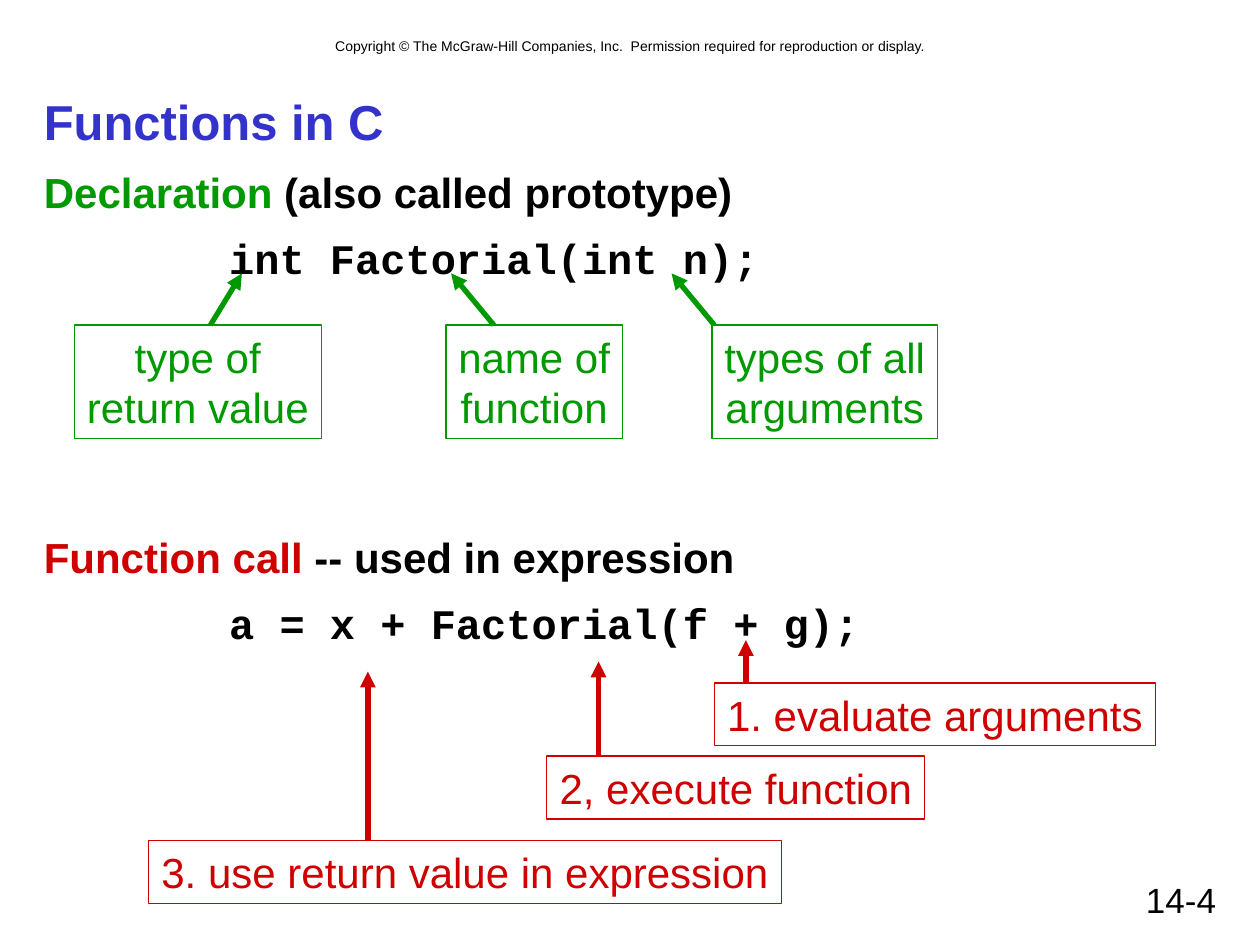
from dataclasses import dataclass

from lxml import etree
from pptx import Presentation
from pptx.dml.color import RGBColor
from pptx.enum.shapes import MSO_CONNECTOR, MSO_SHAPE
from pptx.enum.text import MSO_ANCHOR, PP_ALIGN
from pptx.oxml.ns import qn
from pptx.util import Inches, Pt

LEFT, CENTER, RIGHT = PP_ALIGN.LEFT, PP_ALIGN.CENTER, PP_ALIGN.RIGHT
TOP, MIDDLE = MSO_ANCHOR.TOP, MSO_ANCHOR.MIDDLE
STRAIGHT, RECTANGLE = MSO_CONNECTOR.STRAIGHT, MSO_SHAPE.RECTANGLE

BLACK, BLUE, GREEN, RED = "000000", "3333CC", "009900", "CE0000"
SANS, MONO = "Arial", "Courier New"
CODE_INDENT = 1.47


@dataclass
class Callout:
    """A boxed label with an arrow rising from its top edge to the code."""
    lines: tuple[str, ...]
    left: float
    top: float
    width: float
    height: float
    color: str
    arrow_start: float
    arrow_tip: tuple[float, float]


@dataclass
class Section:
    term: str
    remark: str
    code: str
    top: float
    color: str


CALLOUTS = [
    Callout(("type of", "return value"), 0.59, 2.58, 1.96, 0.9, GREEN, 1.67, (1.92, 2.17)),
    Callout(("name of", "function"), 3.54, 2.58, 1.4, 0.9, GREEN, 3.92, (3.58, 2.17)),
    Callout(("types of all", "arguments"), 5.65, 2.58, 1.79, 0.9, GREEN, 5.67, (5.33, 2.17)),
    Callout(("1. evaluate arguments",), 5.67, 5.42, 3.5, 0.5, RED, 5.92, (5.92, 5.08)),
    Callout(("2, execute function",), 4.34, 6, 3, 0.5, RED, 4.75, (4.75, 5.25)),
    Callout(("3. use return value in expression",), 1.18, 6.67, 5.02, 0.5, RED,
            2.92, (2.92, 5.33)),
]

SECTIONS = [
    Section("Declaration", " (also called prototype)", "int Factorial(int n);", 1.27, GREEN),
    Section("Function call", " -- used in expression", "a = x + Factorial(f + g);", 4.17, RED),
]


def rgb(color: str) -> RGBColor:
    return RGBColor.from_string(color)


def add_run(paragraph, text: str, size: float, color: str, name=SANS, bold=False) -> None:
    run = paragraph.add_run()
    run.text = text
    font_format = {"size": Pt(size), "name": name, "bold": bold}
    for attribute, value in font_format.items():
        setattr(run.font, attribute, value)
    run.font.color.rgb = rgb(color)


def add_text_box(slide, left: float, top: float, width: float, height: float,
                 align=LEFT, anchor=TOP):
    """Add an empty wrapping text box and return its text frame."""
    shape = slide.shapes.add_textbox(Inches(left), Inches(top), Inches(width), Inches(height))
    frame = shape.text_frame
    frame.word_wrap = True
    frame.vertical_anchor = anchor
    frame.paragraphs[0].alignment = align
    return frame


def add_section(slide, section: Section) -> None:
    frame = add_text_box(slide, 0.25, section.top, 9.5, 1)
    heading = frame.paragraphs[0]
    add_run(heading, section.term, 24, section.color, bold=True)
    add_run(heading, section.remark, 24, BLACK, bold=True)
    code = frame.add_paragraph()
    code.space_before = Pt(9)
    properties = code._p.get_or_add_pPr()
    properties.set("marL", str(Inches(CODE_INDENT)))
    properties.set("indent", "0")
    add_run(code, section.code, 24, BLACK, MONO, bold=True)


def add_arrow(slide, start: tuple[float, float], tip: tuple[float, float], color: str) -> None:
    arrow = slide.shapes.add_connector(STRAIGHT, *map(Inches, start + tip))
    arrow.line.color.rgb = rgb(color)
    arrow.line.width = Pt(3)
    etree.SubElement(arrow.line._get_or_add_ln(), qn("a:tailEnd"), type="triangle")
    etree.SubElement(arrow._element.spPr, qn("a:effectLst"))


def add_callout(slide, callout: Callout) -> None:
    shape = slide.shapes.add_shape(
        RECTANGLE, Inches(callout.left), Inches(callout.top),
        Inches(callout.width), Inches(callout.height))
    shape.shadow.inherit = False
    shape.fill.background()
    shape.line.color.rgb = rgb(callout.color)
    shape.line.width = Pt(0.75)
    frame = shape.text_frame
    frame.word_wrap = False
    frame.vertical_anchor = TOP
    paragraph = frame.paragraphs[0]
    paragraph.alignment = CENTER
    for index, line in enumerate(callout.lines):
        if index:
            paragraph.add_line_break()
        add_run(paragraph, line, 24, callout.color)
    add_arrow(slide, (callout.arrow_start, callout.top), callout.arrow_tip, callout.color)


def main() -> None:
    presentation = Presentation()
    presentation.slide_width, presentation.slide_height = Inches(10), Inches(7.5)
    slide = presentation.slides.add_slide(presentation.slide_layouts[6])

    copyright_line = add_text_box(slide, 0.67, 0.25, 8.67, 0.24, CENTER)
    add_run(copyright_line.paragraphs[0],
            "Copyright © The McGraw-Hill Companies, Inc.  "
            "Permission required for reproduction or display.", 8, BLACK)
    page_number = add_text_box(slide, 7.17, 6.92, 2.58, 0.42, RIGHT)
    add_run(page_number.paragraphs[0], "14-4", 20, BLACK)
    title = add_text_box(slide, 0.25, 0.67, 9.5, 0.58, anchor=MIDDLE)
    add_run(title.paragraphs[0], "Functions in C", 28, BLUE, bold=True)

    for section in SECTIONS:
        add_section(slide, section)
    for callout in CALLOUTS:
        add_callout(slide, callout)
    presentation.save("out.pptx")


if __name__ == "__main__":
    main()
